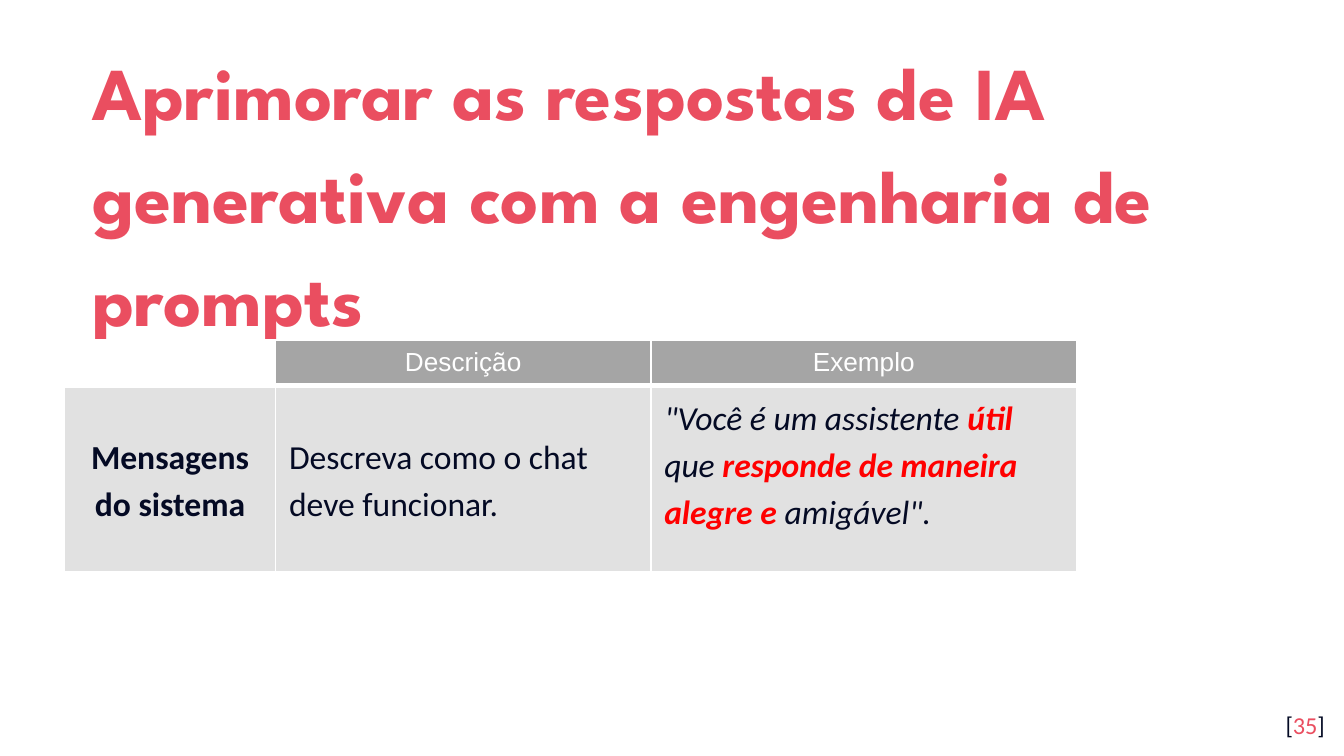
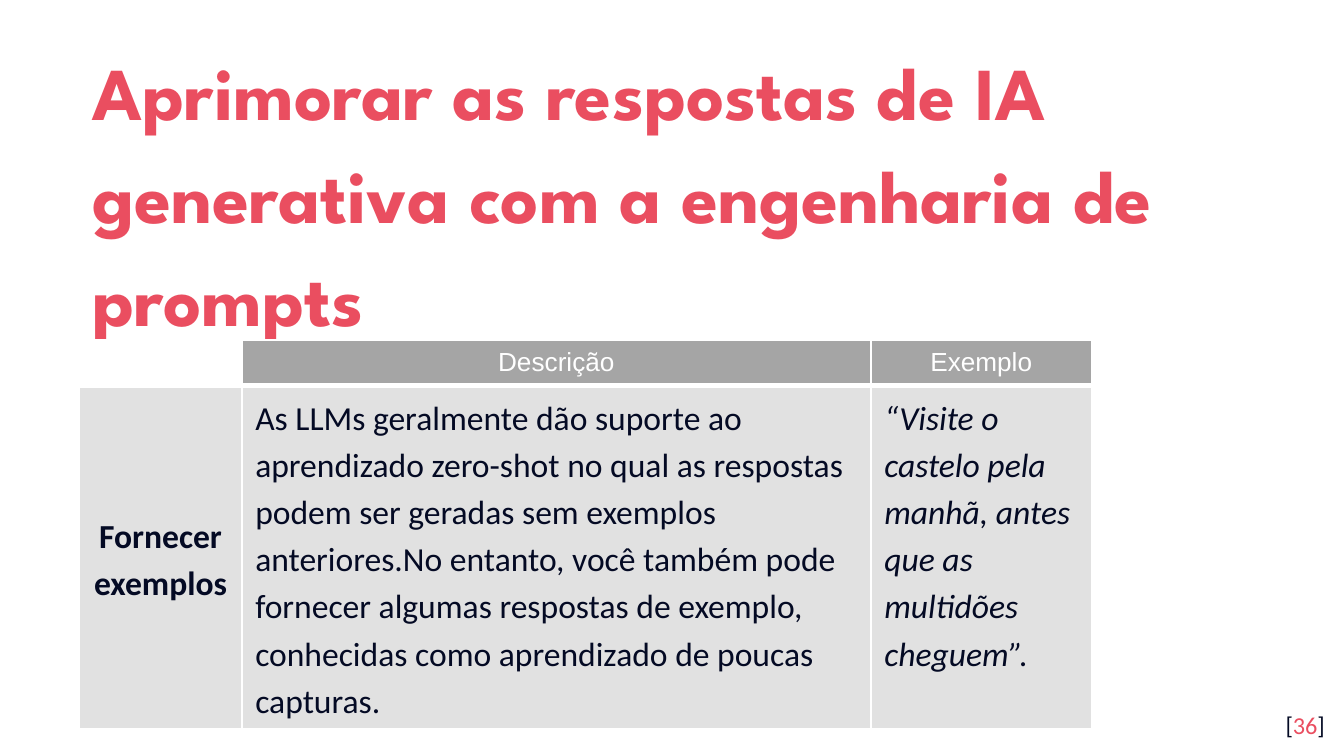
from lxml import etree
from pptx import Presentation
from pptx.dml.color import RGBColor
from pptx.enum import text
from pptx.oxml import ns
from pptx.util import Cm, Pt

HUES = {"rose": "EA4E60", "navy": "040A24", "gray": "A5A5A5",
        "pale": "E1E1E1", "white": "FFFFFF", "red": "FF0000"}
LEFT, MID, RIGHT = (text.PP_ALIGN.LEFT, text.PP_ALIGN.CENTER,
                    text.PP_ALIGN.RIGHT)
TOP, HALF = text.MSO_ANCHOR.TOP, text.MSO_ANCHOR.MIDDLE
TITLE = "Aprimorar as respostas de IA generativa com a engenharia de prompts"
LOOK = {
    "title": {"name": "League Spartan", "size": Pt(40), "bold": True},
    "page": {"name": "Calibri", "size": Pt(13)},
    "head": {"name": "Arial", "size": Pt(14), "bold": False},
    "body": {"name": "Calibri", "size": Pt(18), "bold": False},
}
LABEL = {"bold": True}
QUOTE = {"italic": True}
STRONG = {"italic": True, "bold": True, "hue": "red"}

PAGES = [
    {"num": "35", "left": 1.22, "cols": (3.99, 7.09, 8.05), "row": [
        (MID, HALF, [("Mensagens do sistema", LABEL)]),
        (LEFT, HALF, [("Descreva como o chat deve funcionar.", {})]),
        (LEFT, TOP, [("\"Você é um assistente ", QUOTE),
                     ("útil", STRONG),
                     (" que ", QUOTE),
                     ("responde de maneira alegre e ", STRONG),
                     ("amigável\".", QUOTE)])]},
    {"num": "36", "left": 1.5, "cols": (3.07, 11.89, 4.17), "row": [
        (MID, HALF, [("Fornecer exemplos", LABEL)]),
        (LEFT, TOP, [("As LLMs geralmente dão suporte ao aprendizado "
                      "zero-shot no qual as respostas podem ser geradas sem "
                      "exemplos anteriores.No entanto, você também pode "
                      "fornecer algumas respostas de exemplo, conhecidas "
                      "como aprendizado de poucas capturas.", {})]),
        (LEFT, TOP, [("“Visite o castelo pela manhã, antes que as "
                      "multidões cheguem”.", QUOTE)])]},
]


def assign(item, vals):
    for key, val in vals.items():
        setattr(item, key, val)


def write(frame, parts, look, hue, align, space=None):
    para = frame.paragraphs[0]
    assign(para, {"alignment": align, "line_spacing": space})
    for words, extra in parts:
        run = para.add_run()
        run.text = words
        form = {**LOOK[look], **extra}
        tint = form.pop("hue", hue)
        assign(run.font, form)
        run.font.color.rgb = RGBColor.from_string(HUES[tint])


def fit(shape, box, anchor):
    assign(shape, dict(zip(("left", "top", "width", "height"), map(Cm, box))))
    frame = shape.text_frame
    sides = ("left", "top", "right", "bottom")
    assign(frame, {f"margin_{side}": Cm(0.25) for side in sides})
    assign(frame, {"word_wrap": True, "vertical_anchor": anchor,
                   "auto_size": text.MSO_AUTO_SIZE.NONE})
    return frame


def add_title(slide, box):
    frame = fit(slide.shapes.title, box, HALF)
    write(frame, [(TITLE, {})], "title", "rose", LEFT, 1.15)


def add_page(slide, box, num):
    frame = fit(slide.shapes.add_textbox(0, 0, 0, 0), box, TOP)
    write(frame, [("[", {}), (num, {"hue": "rose"}), ("]", {})],
          "page", "navy", RIGHT)


def paint(cell, hue, base):
    props = cell._tc.get_or_add_tcPr()
    for side, width in zip("LRTB", (1, 1, 1, base)):
        line = etree.SubElement(props, ns.qn(f"a:ln{side}"),
                                w=str(Pt(width)))
        fill = etree.SubElement(line, ns.qn("a:solidFill"))
        etree.SubElement(fill, ns.qn("a:srgbClr"), val=HUES["white"])
    cell.fill.solid()
    cell.fill.fore_color.rgb = RGBColor.from_string(HUES[hue])


def add_grid(slide, left, top, cols, row):
    highs = (0.84, 3.53)
    grid = slide.shapes.add_table(2, 3, Cm(left), Cm(top), Cm(sum(cols)),
                                  Cm(sum(highs))).table
    assign(grid, {"first_row": False, "horz_banding": False})
    for col, wide in zip(grid.columns, cols):
        col.width = Cm(wide)
    for line, high in zip(grid.rows, highs):
        line.height = Cm(high)
    for idx, name in enumerate(("", "Descrição", "Exemplo")):
        cell = grid.cell(0, idx)
        paint(cell, "gray" if name else "white", 3)
        cell.vertical_anchor = HALF
        if name:
            write(cell.text_frame, [(name, {})], "head", "white", MID)
        else:
            etree.SubElement(cell.text_frame.paragraphs[0]._p,
                             ns.qn("a:endParaRPr"), sz="1400")
    for idx, (align, anchor, parts) in enumerate(row):
        cell = grid.cell(1, idx)
        paint(cell, "pale", 1)
        cell.vertical_anchor = anchor
        write(cell.text_frame, parts, "body", "navy", align, 1.15)


def add_slide(deck, num, left, cols, row):
    slide = deck.slides.add_slide(deck.slide_layouts[5])
    add_title(slide, (1.5, 2.36, 22.28, 2.34))
    add_page(slide, (23.77, 13.18, 1.52, 1.09), num)
    add_grid(slide, left, 6.43, cols, row)


def main():
    deck = Presentation()
    assign(deck, {"slide_width": Cm(25.4), "slide_height": Cm(14.29)})
    for page in PAGES:
        add_slide(deck, **page)
    deck.save("out.pptx")


if __name__ == "__main__":
    main()
